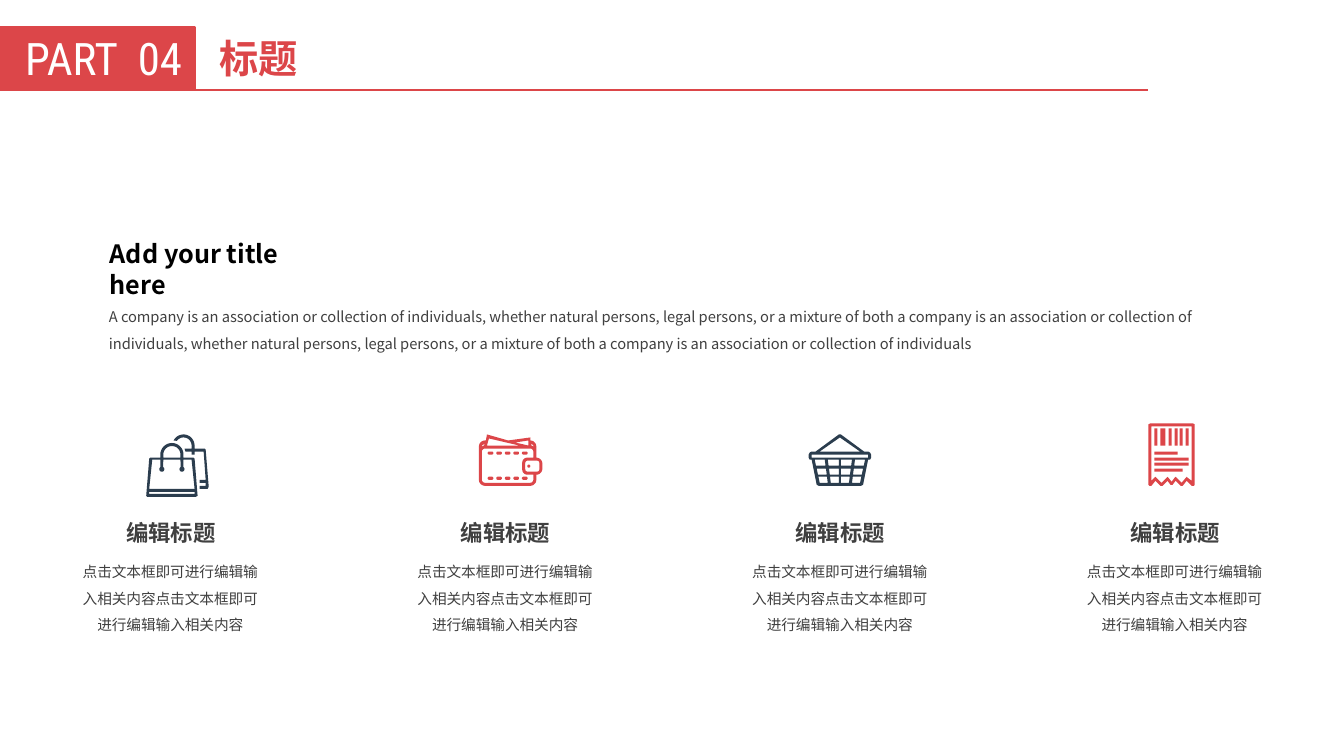
"""Build the PART 04 slide with four illustrated captions."""
import math

import lxml.etree
import pptx
import pptx.dml.color
import pptx.enum.shapes
import pptx.enum.text
import pptx.oxml.ns
import pptx.util

Inches = pptx.util.Inches
RED, NAVY, GREY, WHITE, BLACK = "DC4649", "2B3D4E", "404040", "FFFFFF", "000000"
SANS = "Noto Sans CJK SC"
ICON_SCALE = 914.4
COLUMN_STEP = 3.32


def colour(value):
    return pptx.dml.color.RGBColor.from_string(value)


def rect(left, top, right, bottom):
    return [(left, top), (right, top), (right, bottom), (left, bottom)]


def arc(x, y, radius, start, end, steps=16):
    angles = [math.radians(start + (end - start) * i / steps) for i in range(steps + 1)]
    return [(x + radius * math.cos(a), y + radius * math.sin(a)) for a in angles]


def rounded(left, top, right, bottom, radius):
    return (arc(left + radius, top + radius, radius, 180, 270, 6)
            + arc(right - radius, top + radius, radius, 270, 360, 6)
            + arc(right - radius, bottom - radius, radius, 0, 90, 6)
            + arc(left + radius, bottom - radius, radius, 90, 180, 6))


def bags():
    back = ([(62, 52), (59, 15), (58, 14), (48, 14)] + arc(37, 11, 11, 0, -153)
            + arc(37, 11, 8, -145, 0)
            + [(45, 14), (38, 14), (39, 17), (45, 17), (45, 20), (48, 20), (48, 17),
               (57, 17), (59, 45), (53, 45), (53, 48), (59, 48), (59, 51), (53, 51),
               (53, 54), (61, 54)])
    front = ([(51, 61), (48, 24), (47, 23), (37, 23)] + arc(25.5, 20, 11.5, 0, -180)
             + [(14, 23), (4, 23), (3, 24), (0, 61), (1, 62), (49, 62)])
    body = ([(6, 25), (14, 25)] + arc(15.5, 34.5, 2.5, 240, -60) + [(17, 25), (34, 25)]
            + arc(35.5, 34.5, 2.5, 240, -60) + [(37, 25), (45, 25), (48, 54), (3, 54)])
    handle = arc(25.5, 20, 8.5, 180, 360) + [(34, 23), (17, 23)]
    return [back, front, body, handle, rect(3, 57, 48, 59)]


def wallet():
    outline = ([(57, 23)] + arc(51, 12, 6, 0, -90, 6)
               + [(51, 3), (29, 6), (8, 0), (7, 6)] + arc(6, 12, 6, 270, 180, 6)
               + arc(6, 45, 6, 180, 90, 6) + arc(51, 45, 6, 90, 0, 6)
               + [(57, 40)] + arc(57, 34, 6, 90, 0, 6) + arc(57, 29, 6, 0, -90, 6))
    body = (arc(51, 45, 3, 0, 90, 6) + arc(6, 45, 3, 90, 180, 6)
            + arc(6, 17, 3, 180, 270, 6) + arc(51, 17, 3, 270, 360, 6)
            + [(54, 23)] + arc(48, 28, 5, 270, 180, 6) + arc(48, 35, 5, 180, 90, 6)
            + [(54, 40)])
    notes = [[(3, 11), (6, 9), (5, 11), (3, 12)], [(10, 4), (40, 11), (8, 11)],
             [(49, 6), (49, 11), (36, 8)], [(54, 11), (54, 12), (52, 11), (52, 9)]]
    stitches = [rounded(8.8 + 8.5 * i, top, 14.3 + 8.5 * i, top + 3, 1.4)
                for top in (17, 42) for i in range(5)]
    clasp = [rounded(46, 26, 60, 37, 2.5), arc(49.5, 31.5, 1.5, 0, 360)]
    return [outline, body] + notes + stitches + clasp


def basket():
    def edges(y):
        taper = (y - 25) / 23
        left = [6 + 5 * taper, 16 + 3 * taper, 19 + 3 * taper, 30]
        return left + [62 - x for x in reversed(left)]

    outline = [(55, 17), (32, 0), (30, 0), (7, 17), (3, 17), (1, 18), (0, 20), (0, 23),
               (1, 25), (3, 25), (8, 50), (10, 51), (52, 51), (54, 50), (59, 25),
               (61, 25), (62, 23), (62, 20), (61, 18), (59, 17)]
    cells = []
    for top, bottom in ((25, 31), (34, 40), (42, 48)):
        upper, lower = edges(top), edges(bottom)
        for i in range(0, 8, 2):
            cells.append([(upper[i], top), (upper[i + 1], top),
                          (lower[i + 1], bottom), (lower[i], bottom)])
    return [outline, rect(3, 20, 59, 23), [(31, 3), (51, 17), (11, 17)]] + cells


def receipt():
    outline = [(44, 0), (2, 0), (0, 1), (0, 61), (1, 62), (3, 62), (7, 57), (12, 62),
               (14, 62), (19, 57), (22, 61), (24, 61), (27, 57), (32, 62), (34, 62),
               (38, 57), (43, 62), (45, 62), (46, 61), (46, 1)]
    paper = [(43, 57), (39, 54), (38, 53), (33, 59), (28, 54), (27, 53), (26, 54),
             (23, 58), (20, 54), (19, 53), (13, 59), (7, 53), (3, 57), (3, 3), (43, 3)]
    bars = [rect(left, 5, right, 22) for left, right in
            ((6, 9), (12, 17), (20, 23), (26, 29), (31, 34), (37, 40))]
    rows = [rect(6, top, right, top + 3) for top, right in
            ((28, 29), (34, 40), (39, 40), (45, 34))]
    return [outline, paper] + bars + rows


class SlideBuilder:
    def __init__(self, deck):
        self.slide = deck.slides.add_slide(deck.slide_layouts[6])
        self.shapes = self.slide.shapes

    def paint(self, shape, fill, line=None):
        shape.shadow.inherit = False
        shape.fill.solid()
        shape.fill.fore_color.rgb = colour(fill)
        if line:
            shape.line.color.rgb = colour(line)
            shape.line.width = pptx.util.Pt(1.5)
        else:
            shape.line.fill.background()

    def banner(self, left, top, width, height):
        shape = self.shapes.add_shape(pptx.enum.shapes.MSO_SHAPE.RECTANGLE, Inches(left),
                                      Inches(top), Inches(width), Inches(height))
        self.paint(shape, RED, RED)

    def rule(self, left, right, y):
        line = self.shapes.add_connector(pptx.enum.shapes.MSO_CONNECTOR.STRAIGHT,
                                         Inches(left), Inches(y), Inches(right), Inches(y))
        line.line.color.rgb = colour(RED)
        line.line.width = pptx.util.Pt(1.5)
        properties = line._element.spPr
        lxml.etree.SubElement(properties, pptx.oxml.ns.qn("a:effectLst"))

    def icon(self, left, top, contours, fill):
        placed = [[(left * 1000 + x * 10, top * 1000 + y * 10) for x, y in contour]
                  for contour in contours]
        builder = self.shapes.build_freeform(*placed[0][0], scale=ICON_SCALE)
        builder.add_line_segments(placed[0][1:], close=True)
        for contour in placed[1:]:
            builder.move_to(*contour[0])
            builder.add_line_segments(contour[1:], close=True)
        self.paint(builder.convert_to_shape(), fill)

    def text(self, area, words, size, ink, font=SANS, bold=False, centred=False,
             spacing=None, inset=True):
        box = self.shapes.add_textbox(*(Inches(length) for length in area))
        frame = box.text_frame
        frame.word_wrap = True
        if inset:
            frame.auto_size = pptx.enum.text.MSO_AUTO_SIZE.SHAPE_TO_FIT_TEXT
        else:
            frame.margin_left = frame.margin_right = 0
            frame.margin_top = frame.margin_bottom = 0
        frame.text = words
        para = frame.paragraphs[0]
        if centred:
            para.alignment = pptx.enum.text.PP_ALIGN.CENTER
        if spacing:
            para.line_spacing = spacing
        span = para.runs[0]
        span.font.name = font
        span.font.size = pptx.util.Pt(size)
        span.font.bold = bold
        span.font.color.rgb = colour(ink)
        east_asian = lxml.etree.SubElement(span.font._element, pptx.oxml.ns.qn("a:ea"))
        east_asian.set("typeface", font)


def main():
    deck = pptx.Presentation()
    deck.slide_width, deck.slide_height = Inches(13.33), Inches(7.5)
    page = SlideBuilder(deck)
    page.banner(0, 0.27, 1.93, 0.62)
    page.rule(1.87, 11.39, 0.89)
    page.text((0.15, 0.26, 2.43, 0.64), "PART  04", 32, WHITE, "Roboto Condensed")
    page.text((2.08, 0.29, 1.29, 0.57), "标题", 28, RED, "Arial", bold=True)
    page.text((0.99, 2.32, 2.34, 0.4), "Add your title here", 18, BLACK, bold=True)
    sentence = ("A company is an association or collection of individuals, whether natural "
                "persons, legal persons, or a mixture of both a company is an association or "
                "collection of individuals, whether natural persons, legal persons, or a "
                "mixture of both a company is an association or collection of individuals")
    page.text((1.08, 2.97, 11.35, 0.66), sentence, 10.5, GREY, spacing=1.5, inset=False)
    icons = [(1.45, 4.31, bags(), NAVY), (4.75, 4.31, wallet(), RED),
             (8.02, 4.31, basket(), NAVY), (11.39, 4.2, receipt(), RED)]
    for column, icon in enumerate(icons):
        shift = column * COLUMN_STEP
        page.icon(*icon)
        page.text((0.68 + shift, 5.45, 2.02, 0.87), "点击文本框即可进行编辑输入相关内容" * 2,
                  10.5, GREY, centred=True, spacing=1.5)
        page.text((1.06 + shift, 5.1, 1.27, 0.37), "编辑标题", 16, GREY,
                  bold=True, centred=True)
    deck.save("out.pptx")


if __name__ == "__main__":
    main()
